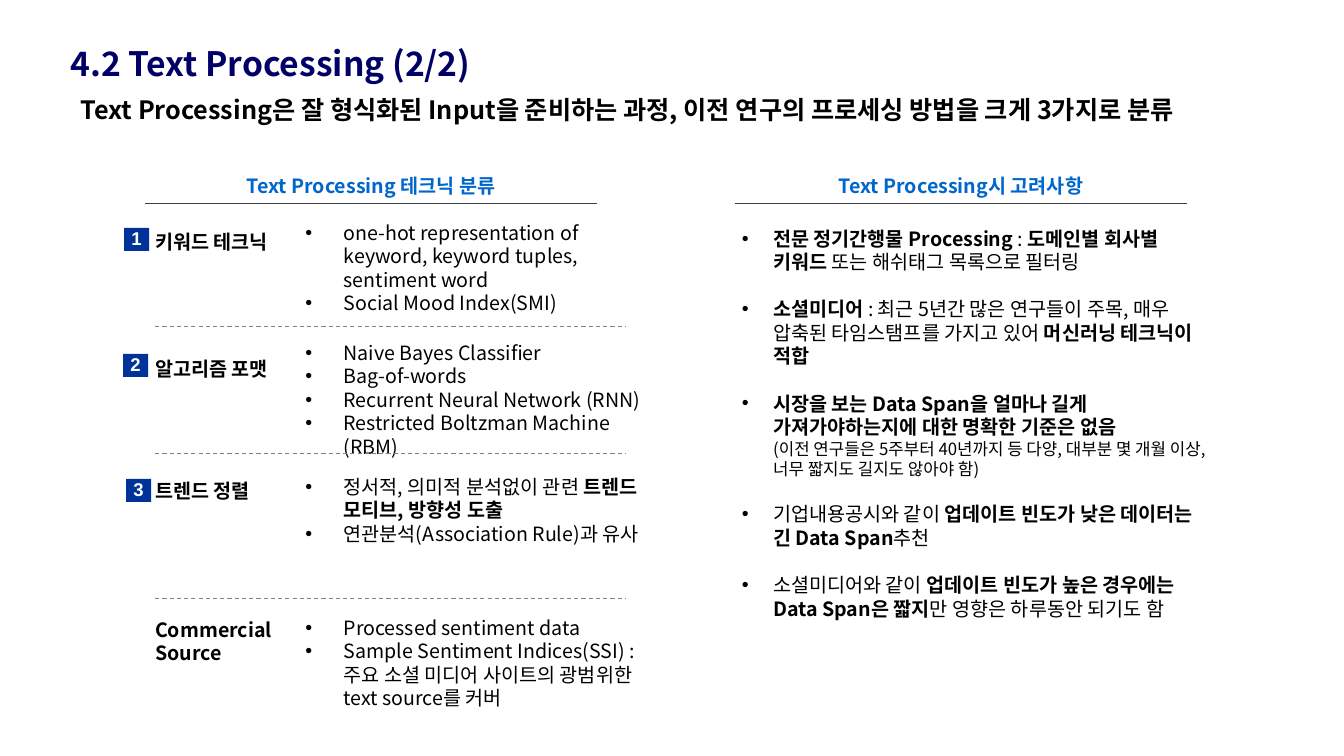
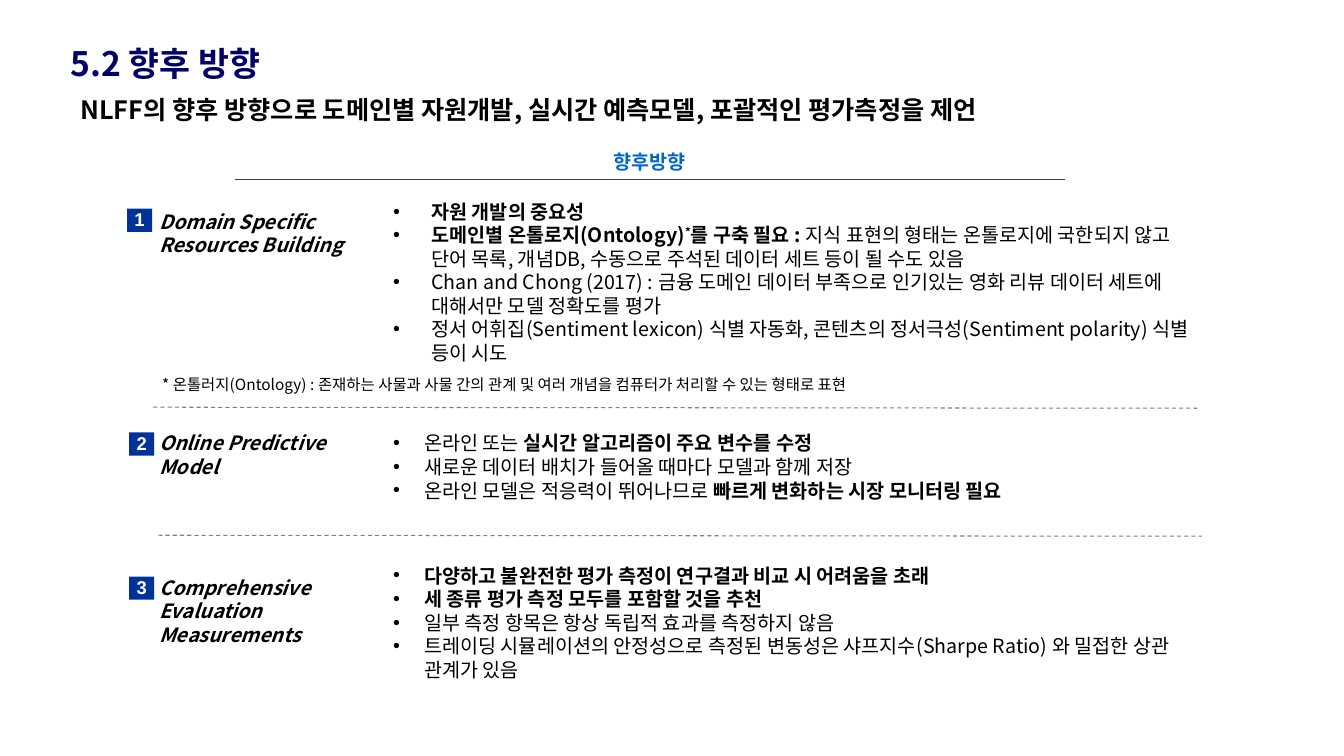
from lxml.etree import SubElement
from pptx import Presentation
from pptx.dml.color import RGBColor
from pptx.enum.dml import MSO_LINE
from pptx.enum.shapes import MSO_CONNECTOR, MSO_SHAPE
from pptx.enum.text import MSO_ANCHOR, PP_ALIGN
from pptx.oxml.ns import qn
from pptx.util import Emu, Pt

NAVY = RGBColor(0x00, 0x00, 0x66)
BLUE = RGBColor(0x00, 0x66, 0xCC)
BADGE_BLUE = RGBColor(0x00, 0x33, 0x99)
BLACK = RGBColor(0x00, 0x00, 0x00)
WHITE = RGBColor(0xFF, 0xFF, 0xFF)
DARK_GRAY = RGBColor(0x40, 0x40, 0x40)
GRAY = RGBColor(0x80, 0x80, 0x80)
BODY_FONT = "Noto Sans CJK KR"
BADGE_FONT = "Arial"


def px(length):
    return Emu(length * 9144)


def write(paragraph, text, *, size=14, color=BLACK, bold=False, italic=False,
          font=BODY_FONT, align=PP_ALIGN.LEFT, spacing=None, before=0,
          indent=0, bullet=False):
    """Write text in which | toggles bold and ^ toggles superscript."""
    paragraph.alignment = align
    paragraph.line_spacing = spacing or Pt(size * 1.2)
    paragraph.space_before = Pt(before)
    properties = paragraph._p.get_or_add_pPr()
    if indent:
        properties.set("marL", str(px(indent)))
        properties.set("indent", str(px(-indent if bullet else 0)))
    if bullet:
        SubElement(properties, qn("a:buFont"), typeface="Arial")
        SubElement(properties, qn("a:buChar"), char="•")
    for toggles, phrase in enumerate(text.split("|")):
        for raised, piece in enumerate(phrase.split("^")):
            if not piece:
                continue
            run = paragraph.add_run()
            run.text = piece
            run.font.size = Pt(size)
            run.font.name = font
            run.font.bold = bold or toggles % 2 == 1
            run.font.italic = italic
            run.font.color.rgb = color
            run_properties = run._r.get_or_add_rPr()
            SubElement(run_properties, qn("a:ea"), typeface=font)
            if raised % 2:
                run_properties.set("baseline", "30000")


class Deck:
    """Holds the shared style and the current slide."""

    def __init__(self):
        self.presentation = Presentation()
        self.presentation.slide_width = px(1333)
        self.presentation.slide_height = px(750)
        self.slide = None

    def start(self, title, message):
        layout = self.presentation.slide_layouts[6]
        self.slide = self.presentation.slides.add_slide(layout)
        self.text(title, 70, 43, 1016, 31, inset=False, size=24, color=NAVY, bold=True)
        self.text(message, 70, 89, 1187, 40, size=18, bold=True)

    def frame(self, x, y, width, height, inset=True):
        box = self.slide.shapes.add_textbox(px(x), px(y), px(width), px(height))
        frame = box.text_frame
        frame.word_wrap = True
        if not inset:
            frame.margin_left = frame.margin_right = 0
            frame.margin_top = frame.margin_bottom = 0
        return frame

    def text(self, content, x, y, width, height, inset=True, **style):
        write(self.frame(x, y, width, height, inset).paragraphs[0], content, **style)

    def bullets(self, items, x, y, width, height, indent=38, gap=0):
        frame = self.frame(x, y, width, height)
        for position, item in enumerate(items):
            paragraph = frame.add_paragraph() if position else frame.paragraphs[0]
            point, *remarks = item.split("\n")
            write(paragraph, point, indent=indent, bullet=True,
                  before=gap if position else 0)
            for remark in remarks:
                write(frame.add_paragraph(), remark, size=12, indent=indent)

    def line(self, x1, y1, x2, y2, color, weight, dash=None):
        line = self.slide.shapes.add_connector(
            MSO_CONNECTOR.STRAIGHT, px(x1), px(y1), px(x2), px(y2))
        line.line.color.rgb = color
        line.line.width = Pt(weight)
        if dash:
            line.line.dash_style = dash
        SubElement(line._element.spPr, qn("a:effectLst"))

    def heading(self, content, x, y, width):
        self.text(content, x, y, width, 34, color=BLUE, bold=True, align=PP_ALIGN.CENTER)
        self.line(x, y + 34, x + width, y + 34, DARK_GRAY, 0.5)

    def divider(self, x1, y1, x2, y2):
        self.line(x1, y1, x2, y2, GRAY, 0.75, MSO_LINE.DASH)

    def badge(self, number, x, y):
        badge = self.slide.shapes.add_shape(
            MSO_SHAPE.RECTANGLE, px(x), px(y), px(25), px(23))
        badge.shadow.inherit = False
        badge.fill.solid()
        badge.fill.fore_color.rgb = BADGE_BLUE
        badge.line.fill.background()
        frame = badge.text_frame
        frame.word_wrap = False
        frame.vertical_anchor = MSO_ANCHOR.MIDDLE
        write(frame.paragraphs[0], str(number), size=13.2, color=WHITE, bold=True,
              font=BADGE_FONT, align=PP_ALIGN.CENTER, spacing=0.95)

    def save(self):
        self.presentation.save("out.pptx")


def build_text_processing(deck):
    deck.start("4.2 Text Processing (2/2)",
               "Text Processing은 잘 형식화된 Input을 준비하는 과정, "
               "이전 연구의 프로세싱 방법을 크게 3가지로 분류")
    deck.heading("Text Processing 테크닉 분류", 144, 168, 448)
    deck.heading("Text Processing시 고려사항", 729, 168, 448)
    techniques = [
        ("키워드 테크닉", 223, 214, 364,
         ["one-hot representation of keyword, keyword tuples, sentiment word",
          "Social Mood Index(SMI)"]),
        ("알고리즘 포맷", 349, 333, 373,
         ["Naive Bayes Classifier", "Bag-of-words", "Recurrent Neural Network (RNN)",
          "Restricted Boltzman Machine (RBM)"]),
        ("트렌드 정렬", 470, 466, 364,
         ["정서적, 의미적 분석없이 관련 |트렌드 모티브, 방향성 도출",
          "연관분석(Association Rule)과 유사"]),
        ("Commercial Source", 608, 606, 364,
         ["Processed sentiment data",
          "Sample Sentiment Indices(SSI) : 주요 소셜 미디어 사이트의 광범위한 "
          "text source를 커버"]),
    ]
    for label, label_y, details_y, width, details in techniques:
        deck.text(label, 144, label_y, 150, 34, bold=True)
        deck.bullets(details, 293, details_y, width, 104)
    for y in (324, 450, 594):
        deck.divider(154, y, 620, y)
    for number, (x, y) in enumerate([(123, 226), (122, 351), (125, 475)], 1):
        deck.badge(number, x, y)
    deck.bullets([
        "|전문 정기간행물 Processing |: |도메인별 회사별 키워드 |또는 해쉬태그 목록으로 필터링",
        "|소셜미디어 |: 최근 5년간 많은 연구들이 주목, 매우 압축된 타임스탬프를 가지고 있어 "
        "|머신러닝 테크닉이 적합",
        "|시장을 보는 Data Span을 얼마나 길게 가져가야하는지에 대한 명확한 기준은 없음\n"
        "(이전 연구들은 5주부터 40년까지 등 다양, 대부분 몇 개월 이상, "
        "너무 짧지도 길지도 않아야 함)",
        "기업내용공시와 같이 |업데이트 빈도가 낮은 데이터는 긴 Data Span|추천",
        "소셜미디어와 같이 |업데이트 빈도가 높은 경우에는 Data Span은 짧지"
        "|만 영향은 하루동안 되기도 함",
    ], 726, 220, 489, 434, indent=31, gap=16.8)


def build_future_directions(deck):
    deck.start("5.2 향후 방향",
               "NLFF의 향후 방향으로 도메인별 자원개발, 실시간 예측모델, "
               "포괄적인 평가측정을 제언")
    deck.heading("향후방향", 233, 144, 823)
    directions = [
        ("Domain Specific Resources Building", 203, 206, (126, 207), 193, 175, 38,
         ["|자원 개발의 중요성",
          "|도메인별 온톨로지(Ontology)^*^를 구축 필요 : |지식 표현의 형태는 온톨로지에 "
          "국한되지 않고 단어 목록, 개념DB, 수동으로 주석된 데이터 세트 등이 될 수도 있음",
          "Chan and Chong (2017) : 금융 도메인 데이터 부족으로 인기있는 영화 리뷰 "
          "데이터 세트에 대해서만 모델 정확도를 평가",
          "정서 어휘집(Sentiment lexicon) 식별 자동화, 콘텐츠의 정서극성"
          "(Sentiment polarity) 식별 등이 시도"]),
        ("Online Predictive Model", 423, 206, (128, 429), 423, 81, 31,
         ["온라인 또는 |실시간 알고리즘이 주요 변수를 수정",
          "새로운 데이터 배치가 들어올 때마다 모델과 함께 저장",
          "온라인 모델은 적응력이 뛰어나므로 |빠르게 변화하는 시장 모니터링 필요"]),
        ("Comprehensive Evaluation Measurements", 566, 219, (128, 572), 554, 128, 31,
         ["|다양하고 불완전한 평가 측정이 연구결과 비교 시 어려움을 초래",
          "|세 종류 평가 측정 모두를 포함할 것을 추천",
          "일부 측정 항목은 항상 독립적 효과를 측정하지 않음",
          "트레이딩 시뮬레이션의 안정성으로 측정된 변동성은 샤프지수(Sharpe Ratio) 와 "
          "밀접한 상관 관계가 있음"]),
    ]
    for number, direction in enumerate(directions, 1):
        label, label_y, label_width, corner, details_y, height, indent, details = direction
        deck.text(label, 148, label_y, label_width, 57, bold=True, italic=True)
        deck.bullets(details, 380, details_y, 827, height, indent=indent)
        deck.badge(number, *corner)
    deck.divider(152, 404, 1187, 405)
    deck.divider(157, 531, 1192, 532)
    deck.text("* 온톨러지(Ontology) : 존재하는 사물과 사물 간의 관계 및 여러 개념을 "
              "컴퓨터가 처리할 수 있는 형태로 표현", 151, 367, 935, 29, size=11)


def main():
    deck = Deck()
    build_text_processing(deck)
    build_future_directions(deck)
    deck.save()


if __name__ == "__main__":
    main()
